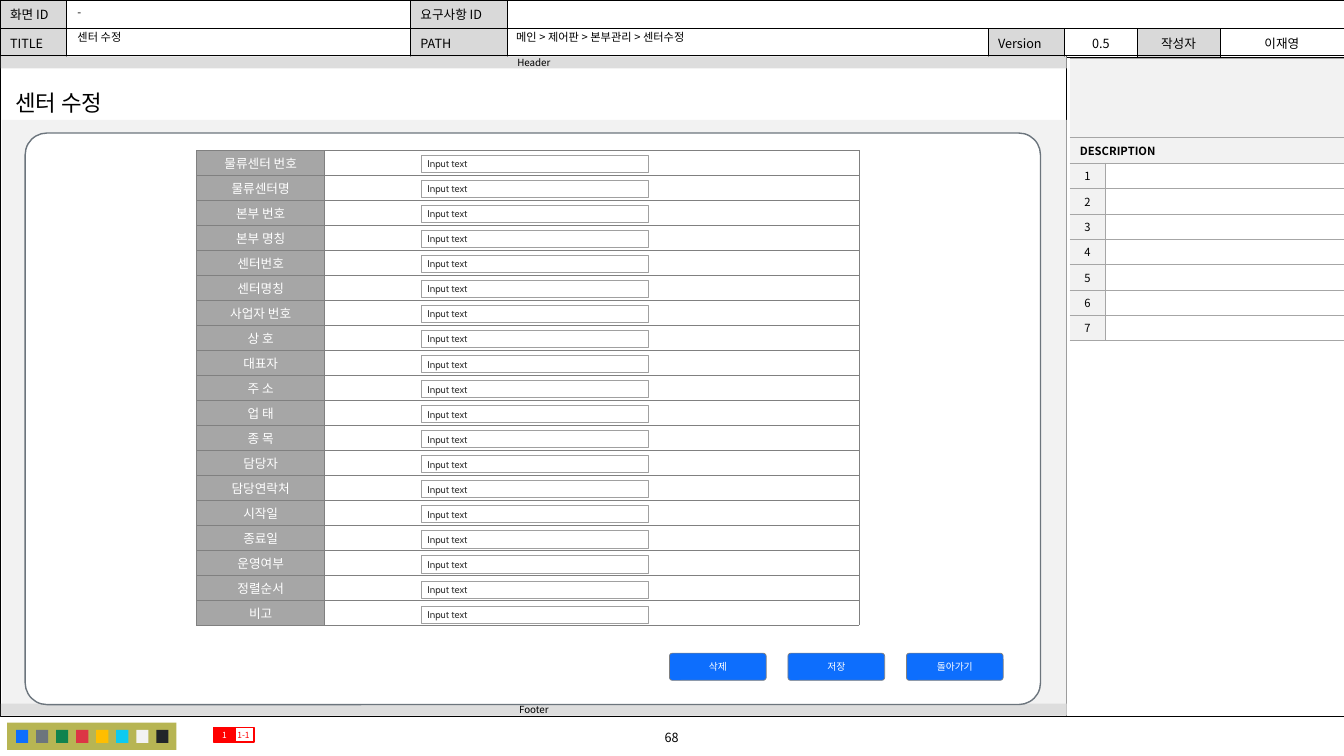
from lxml import etree
from pptx import Presentation
from pptx.dml.color import RGBColor
from pptx.enum import shapes, text
from pptx.oxml import ns
from pptx.util import Inches, Pt

SANS = "Noto Sans CJK KR"
LEFT, MID = text.PP_ALIGN.LEFT, text.PP_ALIGN.CENTER
RECT = shapes.MSO_SHAPE.RECTANGLE
ROUND = shapes.MSO_SHAPE.ROUNDED_RECTANGLE
GRAY, PALE = "D9D9D9", "F2F2F2"
BLUE, SLATE, RED = "0D6EFD", "6C757D", "FF0000"
SWATCHES = [BLUE, SLATE, "10834E", "DC3545", "FFBE00", "0DCAF0", PALE, "212529"]
LABELS = ["물류센터 번호", "물류센터명", "본부 번호", "본부 명칭", "센터번호",
          "센터명칭", "사업자 번호", "상 호", "대표자", "주 소", "업 태", "종 목",
          "담당자", "담당연락처", "시작일", "종료일", "운영여부", "정렬순서", "비고"]
FORM_TOP, PITCH = 1.49, 4.72 / len(LABELS)


def rgb(code):
    return RGBColor.from_string(code)


def box(*sizes):
    return [Inches(size) for size in sizes]


def write(frame, words, size=9, color="000000", font=SANS, bold=False,
          align=LEFT, space=None):
    para = frame.paragraphs[0]
    para.alignment = align
    para.line_spacing = space
    if not words:
        para._p.get_or_add_endParaRPr().set("sz", str(size * 100))
        return
    run = para.add_run()
    run.text = words
    run.font.size, run.font.bold = Pt(size), bold
    run.font.color.rgb = rgb(color)
    run.font.name = font
    east = etree.SubElement(run._r.get_or_add_rPr(), ns.qn("a:ea"))
    east.set("typeface", SANS)


def inset(item, side, top):
    """Set equal side margins and equal top and bottom margins."""
    item.margin_left = item.margin_right = Inches(side)
    item.margin_top = item.margin_bottom = Inches(top)


def paint(item, color):
    if color:
        item.fill.solid()
        item.fill.fore_color.rgb = rgb(color)
    else:
        item.fill.background()


def block(slide, place, fill=None, line=None, width=0.5, words="", kind=RECT,
          curve=None, pad=0, align=MID, **style):
    shape = slide.shapes.add_shape(kind, *box(*place))
    shape.shadow.inherit = False
    if curve is not None:
        shape.adjustments[0] = curve
    paint(shape, fill)
    if line:
        shape.line.color.rgb = rgb(line)
        shape.line.width = Pt(width)
    else:
        shape.line.fill.background()
    if words:
        frame = shape.text_frame
        inset(frame, pad, 0)
        frame.vertical_anchor = text.MSO_ANCHOR.MIDDLE
        write(frame, words, align=align, **style)


def label(slide, place, words, **style):
    frame = slide.shapes.add_textbox(*box(*place)).text_frame
    frame.word_wrap = True
    frame.vertical_anchor = text.MSO_ANCHOR.MIDDLE
    write(frame, words, **style)


def grid(slide, left, top, cols, rows):
    """Add a plain table with the given column widths and row heights."""
    place = box(left, top, sum(cols), sum(rows))
    table = slide.shapes.add_table(len(rows), len(cols), *place).table
    table.first_row = table.horz_banding = False
    for col, size in zip(table.columns, cols):
        col.width = Inches(size)
    for row, size in zip(table.rows, rows):
        row.height = Inches(size)
    return table


def edge(cell, sides, color, width):
    props = cell._tc.get_or_add_tcPr()
    for side in "LRTB":
        line = etree.SubElement(props, ns.qn("a:ln" + side))
        if side in sides:
            line.set("w", str(Pt(width)))
            fill = etree.SubElement(line, ns.qn("a:solidFill"))
            etree.SubElement(fill, ns.qn("a:srgbClr")).set("val", color)
        else:
            line.set("w", "0")
            etree.SubElement(line, ns.qn("a:noFill"))


def fill_cell(cell, words="", fill=None, line="000000", width=0.5, sides="LRTB",
              pad=(0.1, 0.05), **style):
    edge(cell, sides, line, width)
    paint(cell, fill)
    inset(cell, *pad)
    cell.vertical_anchor = text.MSO_ANCHOR.MIDDLE
    write(cell.text_frame, words, **style)


def add_head(slide):
    table = grid(slide, 0, 0, [0.66, 3.41, 0.96, 4.77, 0.76, 0.72, 0.82, 1.23],
                 [0.28, 0.28])
    table.cell(0, 3).merge(table.cell(0, 7))
    texts = [["화면 ID", "", "요구사항 ID", "", "", "", "", ""],
             ["TITLE", "", "PATH", "", "Version", "0.5", "작성자", "이재영"]]
    for r, row in enumerate(texts):
        for c, words in enumerate(row):
            fill = GRAY if c in (0, 2) or (r and c in (4, 6)) else "FFFFFF"
            fill_cell(table.cell(r, c), words, fill, align=MID if c > 4 else LEFT)


def add_frame(slide):
    block(slide, (0, 0.55, 13.33, 6.56), line="000000", width=0.25)
    label(slide, (5.37, 7.19, 2.58, 0.25), "68", align=MID)
    rule = slide.shapes.add_connector(shapes.MSO_CONNECTOR.STRAIGHT,
                                      *box(10.58, 0.56, 10.58, 7.11))
    rule.line.color.rgb = rgb("000000")
    rule.line.width = Pt(0.5)
    etree.SubElement(rule._element.spPr, ns.qn("a:effectLst"))
    block(slide, (0.07, 7.17, 1.68, 0.27), "B7B553")
    for i, color in enumerate(SWATCHES):
        block(slide, (0.16 + i * 1.39 / 7, 7.24, 0.12, 0.13), color)
    block(slide, (0.02, 1.19, 10.56, 5.91), PALE)
    for top, words in ((6.98, "Footer"), (0.56, "Header")):
        block(slide, (0.01, top, 10.57, 0.12), "DDDDDD", words=words, size=7)
    block(slide, (0.25, 1.32, 10.07, 5.67), "FFFFFF", SLATE, 1, kind=ROUND,
          curve=0.038)


def add_notes(slide):
    """Add the description table on the right."""
    count = 7
    table = grid(slide, 10.61, 0.58, [0.35, 2.37],
                 [0.78, 0.26] + [1.76 / count] * count)
    look = dict(line="A6A6A6", size=8)
    for r, words in enumerate(("", "DESCRIPTION")):
        table.cell(r, 0).merge(table.cell(r, 1))
        fill_cell(table.cell(r, 0), words, PALE, sides="TB", bold=True, **look)
    for n in range(1, count + 1):
        fill_cell(table.cell(n + 1, 0), str(n), PALE, sides="RTB", pad=(0, 0),
                  align=MID, **look)
        fill_cell(table.cell(n + 1, 1), sides="LRTB", pad=(0, 0), **look)


def add_form(slide):
    table = grid(slide, 1.95, FORM_TOP, [1.27, 5.3], [PITCH] * len(LABELS))
    look = dict(line="808080", width=0.25, pad=(0.05, 0.03))
    for i, words in enumerate(LABELS):
        fill_cell(table.cell(i, 0), words, "A6A6A6", color="FFFFFF", align=MID,
                  **look)
        fill_cell(table.cell(i, 1), fill="FFFFFF", **look)
        block(slide, (4.18, FORM_TOP + 0.05 + i * PITCH, 2.25, 0.17), "FFFFFF",
              "A0A0A0", words="Input text", pad=0.06, align=LEFT, size=7,
              font="Cabin", color="333333")
    for i, words in enumerate(("삭제", "저장", "돌아가기")):
        block(slide, (6.64 + i * 1.175, 6.48, 0.96, 0.27), BLUE, "808080",
              words=words, kind=ROUND, curve=0.108, pad=0.11, size=7,
              font="Cabin", color="FFFFFF")


def add_title(slide):
    title = slide.shapes.title
    title.left, title.top, title.width, title.height = box(0.05, 0.83, 1.17, 0.37)
    frame = title.text_frame
    frame.word_wrap = False
    frame.auto_size = text.MSO_AUTO_SIZE.NONE
    frame.vertical_anchor = text.MSO_ANCHOR.TOP
    inset(frame, 0.1, 0.05)
    write(frame, "센터 수정", size=16)


def main():
    deck = Presentation()
    deck.slide_width, deck.slide_height = box(13.33, 7.5)
    slide = deck.slides.add_slide(deck.slide_layouts[5])
    add_title(slide)
    add_head(slide)
    add_frame(slide)
    add_notes(slide)
    for place, words in (
            ((5.02, 0.26, 4.74, 0.23), "메인 > 제어판 > 본부관리 > 센터수정"),
            ((0.67, 0.01, 3.4, 0.23), "-"),
            ((0.67, 0.28, 3.38, 0.2), "센터 수정")):
        label(slide, place, words, size=8, space=0.9)
    block(slide, (2.31, 7.22, 0.21, 0.14), None, RED, 1, "1-1", size=6, color=RED)
    block(slide, (2.12, 7.22, 0.21, 0.14), RED, RED, 1, "1", size=6,
          color="FFFFFF")
    add_form(slide)
    deck.save("out.pptx")


if __name__ == "__main__":
    main()
